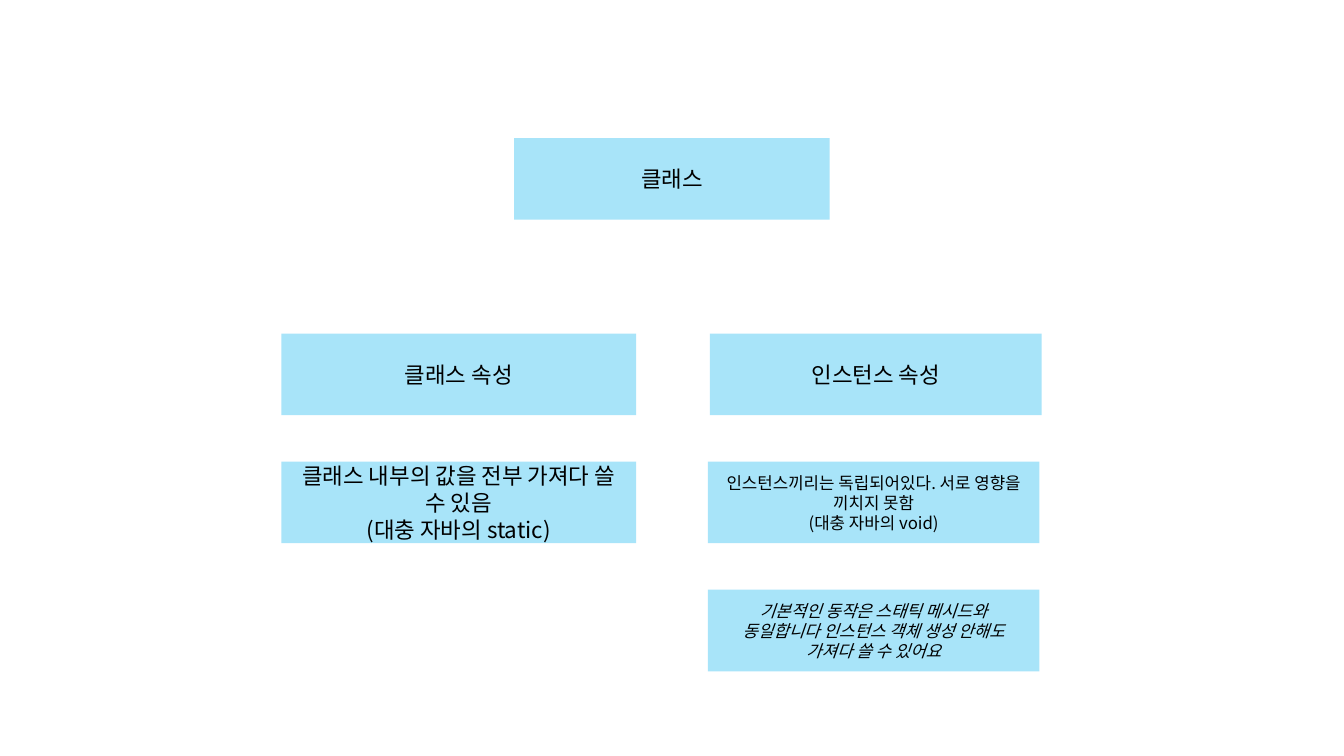
import pptx
import pptx.util
import pptx.dml.color
import pptx.enum.shapes
import pptx.enum.text
import pptx.oxml
from lxml import etree
from pptx.util import Inches

BLUE = pptx.dml.color.RGBColor(0x00, 0xB0, 0xF0)
BLACK = pptx.dml.color.RGBColor(0x00, 0x00, 0x00)
FONT = "Noto Sans CJK KR"
OPACITY = 34
BOX_HEIGHT = 0.81
ROW_STEP = 1.27
HEADING = {"size": pptx.util.Pt(16), "name": FONT}
DETAIL = {"size": pptx.util.Pt(12), "name": FONT}
DETAIL_ITALIC = {**DETAIL, "italic": True}


def add_box(slide, left, top, width, lines, font_format, margin=0.1):
    """Place one translucent box with centred text."""
    shape = slide.shapes.add_shape(
        pptx.enum.shapes.MSO_SHAPE.RECTANGLE,
        Inches(left), Inches(top), Inches(width), Inches(BOX_HEIGHT))
    shape.shadow.inherit = False
    shape.line.fill.background()
    shape.fill.solid()
    shape.fill.fore_color.rgb = BLUE

    # Transparency of the fill
    color = shape.element.spPr.find(".//" + pptx.oxml.ns.qn("a:srgbClr"))
    etree.SubElement(color, pptx.oxml.ns.qn("a:alpha"), val=str(OPACITY * 1000))

    # Text
    frame = shape.text_frame
    frame.word_wrap = True
    frame.margin_left = frame.margin_right = Inches(margin)
    frame.vertical_anchor = pptx.enum.text.MSO_ANCHOR.MIDDLE
    frame.text = "\n".join(lines)
    for paragraph in frame.paragraphs:
        paragraph.alignment = pptx.enum.text.PP_ALIGN.CENTER
        for run in paragraph.runs:
            for name, value in font_format.items():
                setattr(run.font, name, value)
            run.font.color.rgb = BLACK
            etree.SubElement(run.font._element, pptx.oxml.ns.qn("a:ea"), typeface=FONT)


def add_column(slide, left, top, width, heading, details, detail_left):
    """Place a heading box and its detail boxes below it."""
    add_box(slide, left, top, width, [heading], HEADING)
    for row, (lines, font_format, margin) in enumerate(details, start=1):
        add_box(slide, detail_left, top + row * ROW_STEP, width, lines,
                font_format, margin)


def build_class_slide(presentation):
    slide = presentation.slides.add_slide(presentation.slide_layouts[6])

    # Class at the top
    add_box(slide, 5.1, 1.37, 3.13, ["클래스"], HEADING)

    # Class attributes
    add_column(slide, 2.79, 3.31, 3.52, "클래스 속성", [
        (["클래스 내부의 값을 전부 가져다 쓸 수 있음", "(대충 자바의 static)"], HEADING, 0.1),
    ], 2.79)

    # Instance attributes
    add_column(slide, 7.04, 3.31, 3.29, "인스턴스 속성", [
        (["인스턴스끼리는 독립되어있다. 서로 영향을 끼치지 못함", "(대충 자바의 void)"],
         DETAIL, 0.1),
        (["기본적인 동작은 스태틱 메시드와 동일합니다 인스턴스 객체 생성 안해도 가져다 쓸 수 있어요"],
         DETAIL_ITALIC, 0.15),
    ], 7.02)


def main():
    presentation = pptx.Presentation()
    presentation.slide_width = Inches(13.33)
    presentation.slide_height = Inches(7.5)
    build_class_slide(presentation)
    presentation.save("out.pptx")


if __name__ == "__main__":
    main()
